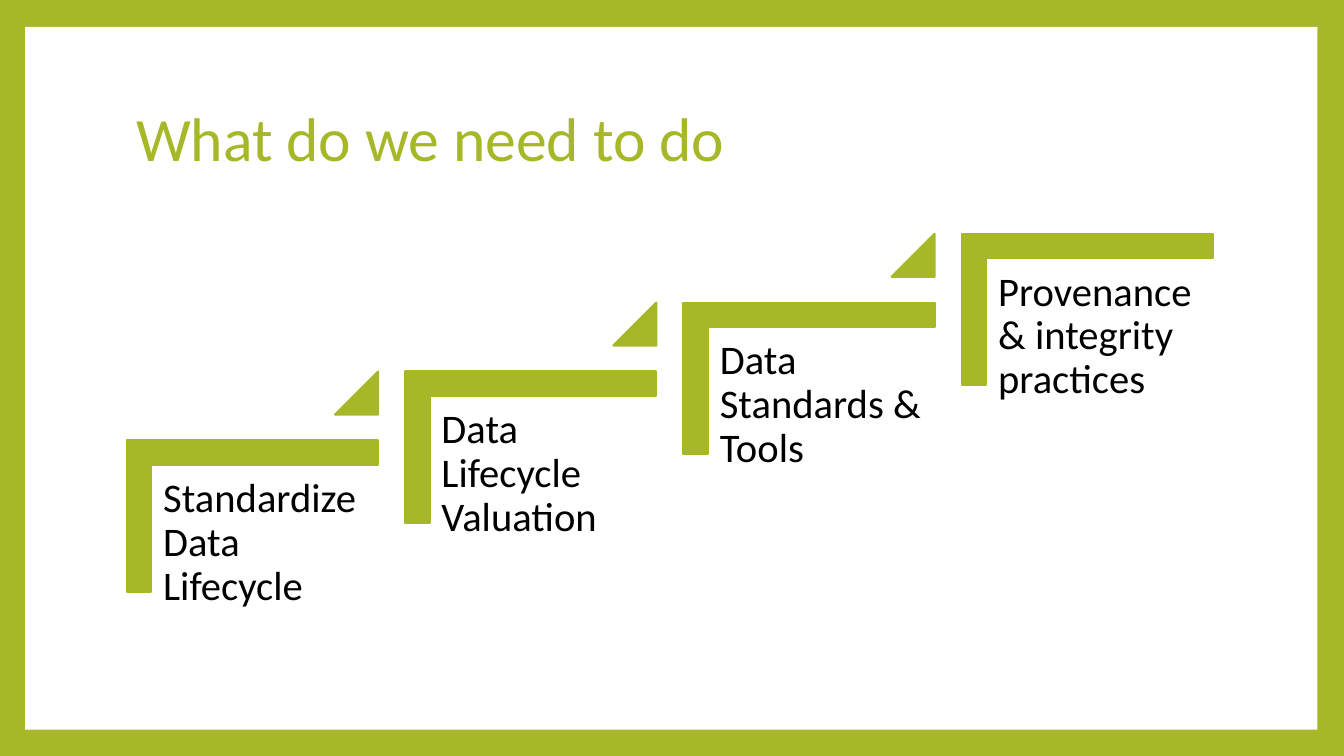
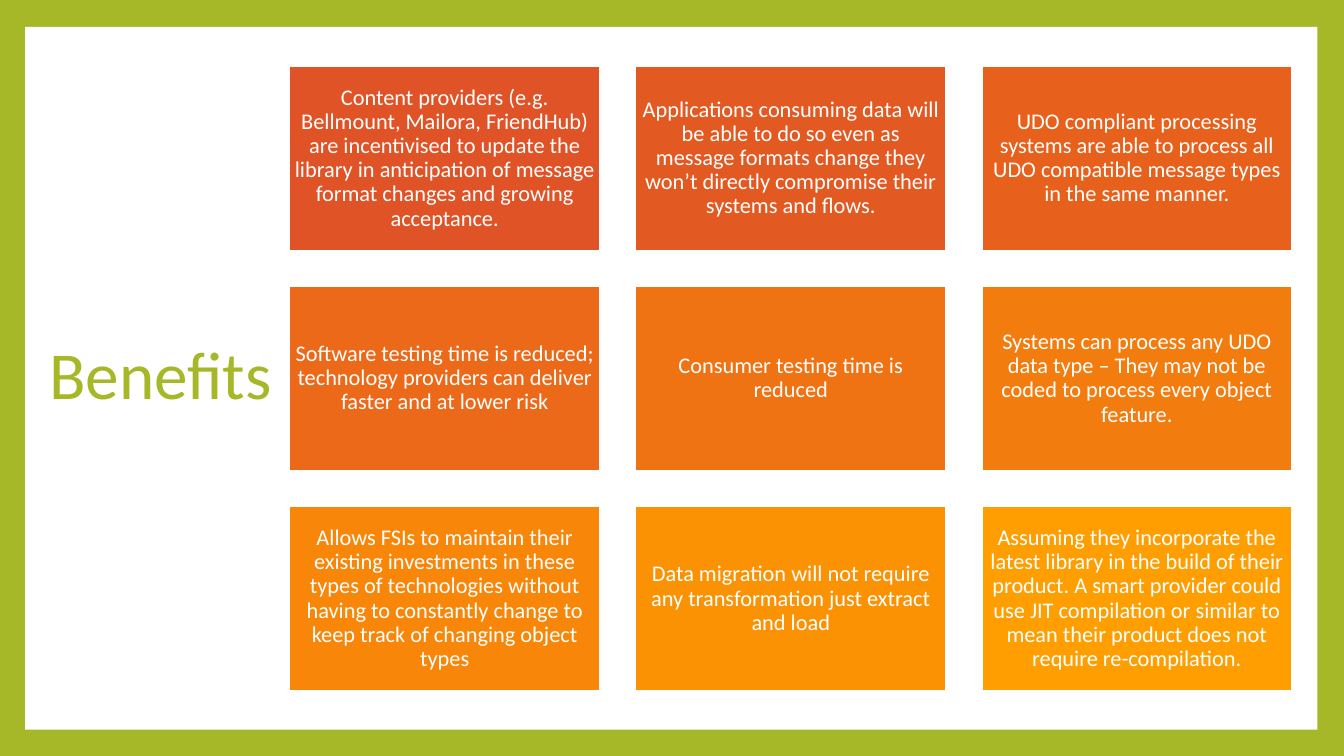
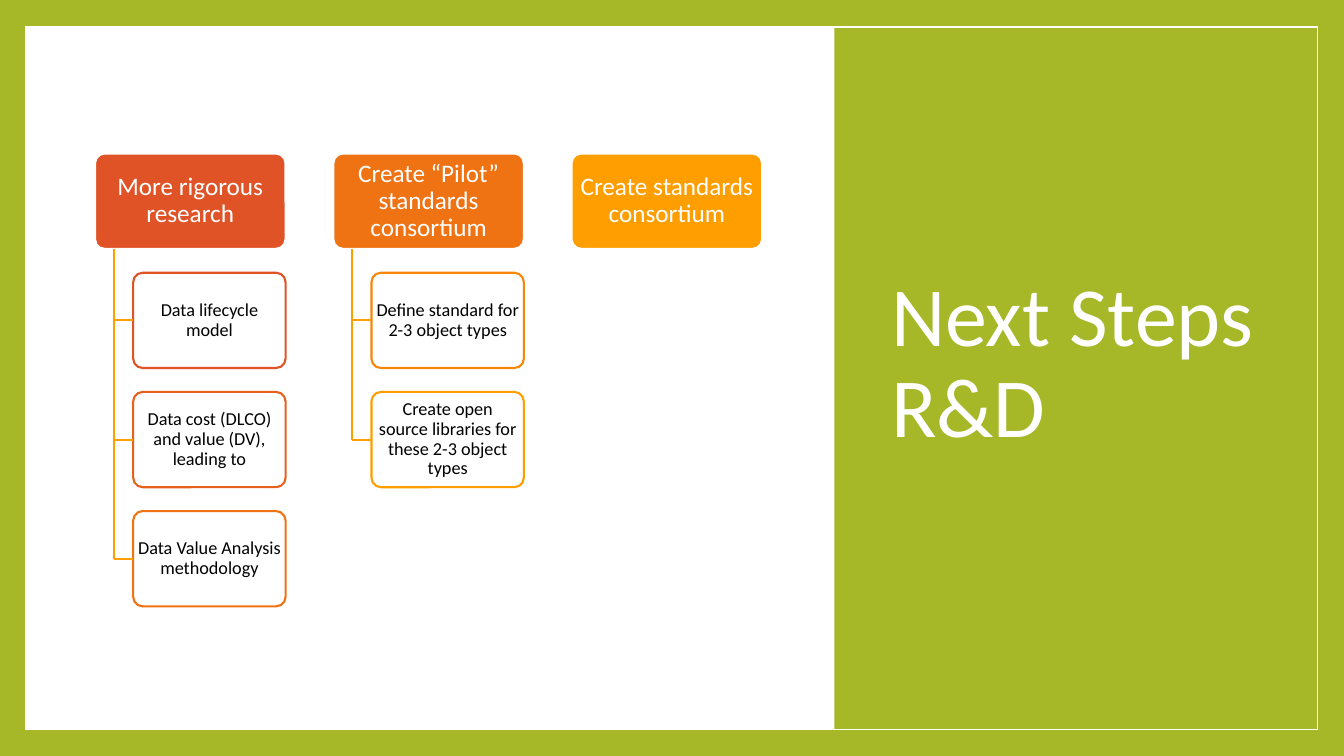
from dataclasses import dataclass

from lxml.etree import SubElement
from pptx import Presentation
from pptx.dml.color import RGBColor
from pptx.enum.shapes import MSO_CONNECTOR, MSO_SHAPE
from pptx.enum.text import MSO_ANCHOR, MSO_AUTO_SIZE, PP_ALIGN
from pptx.oxml.ns import qn
from pptx.presentation import Presentation as Deck
from pptx.shapes.autoshape import Shape
from pptx.slide import Slide, SlideLayout
from pptx.util import Pt

FONT = "Calibri"
COLOURS = {
    "green": "A6B727",
    "white": "FFFFFF",
    "black": "000000",
    "warm 1": "DF5327",
    "warm 2": "E35922",
    "warm 3": "E7611D",
    "warm 4": "EB6918",
    "warm 5": "EF7213",
    "warm 6": "F37C0E",
    "warm 7": "F78609",
    "warm 8": "FB9204",
    "warm 9": "FE9E00",
}


@dataclass(frozen=True)
class Box:
    """A rectangle, in points."""
    left: float
    top: float
    width: float
    height: float

    @property
    def right(self) -> float:
        return self.left + self.width

    @property
    def bottom(self) -> float:
        return self.top + self.height

    @property
    def middle(self) -> float:
        return self.top + self.height / 2

    def lengths(self) -> tuple[Pt, Pt, Pt, Pt]:
        return Pt(self.left), Pt(self.top), Pt(self.width), Pt(self.height)


@dataclass(frozen=True)
class Task:
    text: str
    colour: str


@dataclass(frozen=True)
class Stage:
    text: str
    colour: str
    tasks: tuple[Task, ...] = ()


SLIDE_WIDTH, SLIDE_HEIGHT = 960, 540
PANEL = Box(18, 19.2, 923, 502)

STEPS = (
    "Standardize Data Lifecycle",
    "Data Lifecycle Valuation",
    "Data Standards & Tools",
    "Provenance & integrity practices",
)
BENEFITS = (
    "Content providers (e.g. Bellmount, Mailora, FriendHub) are incentivised to update "
    "the library in anticipation of message format changes and growing acceptance.",
    "Applications consuming data will be able to do so even as message formats change "
    "they won’t directly compromise their systems and flows.",
    "UDO compliant processing systems are able to process all UDO compatible message "
    "types in the same manner.",
    "Software testing time is reduced; technology providers can deliver faster and at "
    "lower risk",
    "Consumer testing time is reduced",
    "Systems can process any UDO data type – They may not be coded to process every "
    "object feature.",
    "Allows FSIs to maintain their existing investments in these types of technologies "
    "without having to constantly change to keep track of changing object types",
    "Data migration will not require any transformation just extract and load",
    "Assuming they incorporate the latest library in the build of their product. A smart "
    "provider could use JIT compilation or similar to mean their product does not "
    "require re-compilation.",
)
STAGES = (
    Stage("More rigorous research", "warm 1", (
        Task("Data lifecycle model", "warm 1"),
        Task("Data cost (DLCO) and value (DV), leading to", "warm 3"),
        Task("Data Value Analysis methodology", "warm 5"),
    )),
    Stage("Create “Pilot” standards consortium", "warm 5", (
        Task("Define standard for 2-3 object types", "warm 7"),
        Task("Create open source libraries for these 2-3 object types", "warm 9"),
    )),
    Stage("Create standards consortium", "warm 9"),
)


def rgb(name: str) -> RGBColor:
    return RGBColor.from_string(COLOURS[name])


def paint(shape: Shape, fill: str | None, line: str | None = None, width: float = 1.5) -> None:
    shape.shadow.inherit = False
    if fill:
        shape.fill.solid()
        shape.fill.fore_color.rgb = rgb(fill)
    else:
        shape.fill.background()
    if line:
        shape.line.color.rgb = rgb(line)
        shape.line.width = Pt(width)
    else:
        shape.line.fill.background()


def write(shape: Shape, text: str, size: float, colour: str, inset: tuple[float, float],
          align: PP_ALIGN = PP_ALIGN.CENTER, anchor: MSO_ANCHOR = MSO_ANCHOR.MIDDLE) -> None:
    frame = shape.text_frame
    frame.text = text
    frame.word_wrap = True
    frame.auto_size = MSO_AUTO_SIZE.NONE
    frame.vertical_anchor = anchor
    frame.margin_left = frame.margin_right = Pt(inset[0])
    frame.margin_top = frame.margin_bottom = Pt(inset[1])
    paragraph = frame.paragraphs[0]
    paragraph.alignment = align
    paragraph.line_spacing = 0.9
    paragraph.font.name = FONT
    paragraph.font.size = Pt(size)
    paragraph.font.color.rgb = rgb(colour)


def add_box(slide: Slide, kind: MSO_SHAPE, box: Box, fill: str | None,
            line: str | None = None, width: float = 1.5) -> Shape:
    shape = slide.shapes.add_shape(kind, *box.lengths())
    if kind == MSO_SHAPE.ROUNDED_RECTANGLE:
        shape.adjustments[0] = 0.1
    paint(shape, fill, line, width)
    return shape


def add_outline(slide: Slide, points: list[tuple[float, float]]) -> None:
    """Draw a closed green polygon through the points."""
    corners = [(Pt(x), Pt(y)) for x, y in points]
    builder = slide.shapes.build_freeform(*corners[0])
    builder.add_line_segments(corners[1:], close=True)
    paint(builder.convert_to_shape(), "green", "green")


def add_line(slide: Slide, start: tuple[float, float], end: tuple[float, float],
             target: Shape | None = None) -> None:
    """Draw a straight line, joined to the target's left side if there is one."""
    connector = slide.shapes.add_connector(
        MSO_CONNECTOR.STRAIGHT, *(Pt(length) for length in (*start, *end)))
    connector.line.color.rgb = rgb("warm 9")
    connector.line.width = Pt(1.5)
    SubElement(connector.element.spPr, qn("a:effectLst"))
    if target is not None:
        connector.end_connect(target, 1)


def add_titled_slide(presentation: Deck, layout: SlideLayout, text: str, box: Box,
                     size: float, colour: str = "green") -> Slide:
    slide = presentation.slides.add_slide(layout)
    title = slide.shapes.title
    title.left, title.top, title.width, title.height = box.lengths()
    write(title, text, size, colour, (7.2, 3.6), PP_ALIGN.LEFT)
    return slide


def move_panel_to_layout(slide: Slide, layout: SlideLayout) -> None:
    """Give the layout the white panel that every slide shows."""
    panel = add_box(slide, MSO_SHAPE.RECTANGLE, PANEL, "white")
    panel.element.xpath(".//p:cNvPr")[0].set("id", "20")
    layout.shapes.element.insert(2, panel.element)


def draw_steps(slide: Slide) -> None:
    width, height, bar, triangle = 179.5, 108, 17.5, 30.7
    pitch, rise = 198.8, 49.2
    for index, text in enumerate(STEPS):
        left, top = 90.5 + index * pitch, 314.6 - index * rise
        right = left + width
        add_outline(slide, [
            (left, top), (right, top), (right, top + bar), (left + bar, top + bar),
            (left + bar, top + height), (left, top + height),
        ])
        label_box = Box(left + bar, top + 18, 162.7, 142.6)
        label = slide.shapes.add_textbox(*label_box.lengths())
        write(label, text, 29, "black", (8.6, 8.6), PP_ALIGN.LEFT, MSO_ANCHOR.TOP)
        if index < len(STEPS) - 1:
            peak = top - rise
            add_outline(slide, [
                (right - triangle, peak + triangle), (right, peak), (right, peak + triangle),
            ])


def draw_benefits(slide: Slide) -> None:
    width, height, gap, columns = 224.7, 134.8, 22.5, 3
    for index, text in enumerate(BENEFITS):
        row, column = divmod(index, columns)
        box = Box(205.3 + column * (width + gap), 45.7 + row * (height + gap), width, height)
        tile = add_box(slide, MSO_SHAPE.RECTANGLE, box, f"warm {index + 1}", "white", 4.25)
        write(tile, text, 16, "white", (5, 5))


def draw_stages(slide: Slide) -> None:
    width, height, pitch = 136.1, 68.1, 170.2
    for column, stage in enumerate(STAGES):
        box = Box(67.9 + column * pitch, 109.7, width, height)
        header = add_box(slide, MSO_SHAPE.ROUNDED_RECTANGLE, box, stage.colour, "white")
        write(header, stage.text, 18, "white", (3, 2))
        trunk = box.left + 0.1 * width
        task_boxes = [
            Box(box.left + 0.2 * width, box.top + 1.25 * height * row, 0.8 * width, height)
            for row in range(1, len(stage.tasks) + 1)
        ]
        if task_boxes:
            add_line(slide, (trunk, box.bottom), (trunk, task_boxes[-1].middle))
        for task, task_box in zip(stage.tasks, task_boxes):
            card = add_box(slide, MSO_SHAPE.ROUNDED_RECTANGLE, task_box, "white", task.colour)
            write(card, task.text, 13, "black", (1.6, 1.6))
            add_line(slide, (trunk, task_box.middle), (task_box.left, task_box.middle), card)


def draw_side_panel(slide: Slide) -> None:
    side = add_box(slide, MSO_SHAPE.RECTANGLE, Box(596, 0, SLIDE_WIDTH - 596, SLIDE_HEIGHT),
                   "green")
    slide.shapes.title.element.addprevious(side.element)
    add_box(slide, MSO_SHAPE.RECTANGLE, PANEL, None, "white", 1)


def main() -> None:
    presentation = Presentation()
    presentation.slide_width, presentation.slide_height = Pt(SLIDE_WIDTH), Pt(SLIDE_HEIGHT)
    background = presentation.slide_master.background.fill
    background.solid()
    background.fore_color.rgb = rgb("green")
    layout = presentation.slide_layouts.get_by_name("Title Only")

    steps = add_titled_slide(presentation, layout, "What do we need to do",
                             Box(90, 48, 777.6, 106.8), 44)
    move_panel_to_layout(steps, layout)
    draw_steps(steps)

    benefits = add_titled_slide(presentation, layout, "Benefits", Box(28, 49, 265, 441.4), 48)
    draw_benefits(benefits)

    next_steps = add_titled_slide(presentation, layout, "Next Steps\vR&D",
                                  Box(629.3, 48, 281.5, 425.5), 60, "white")
    draw_side_panel(next_steps)
    draw_stages(next_steps)

    presentation.save("out.pptx")


if __name__ == "__main__":
    main()
